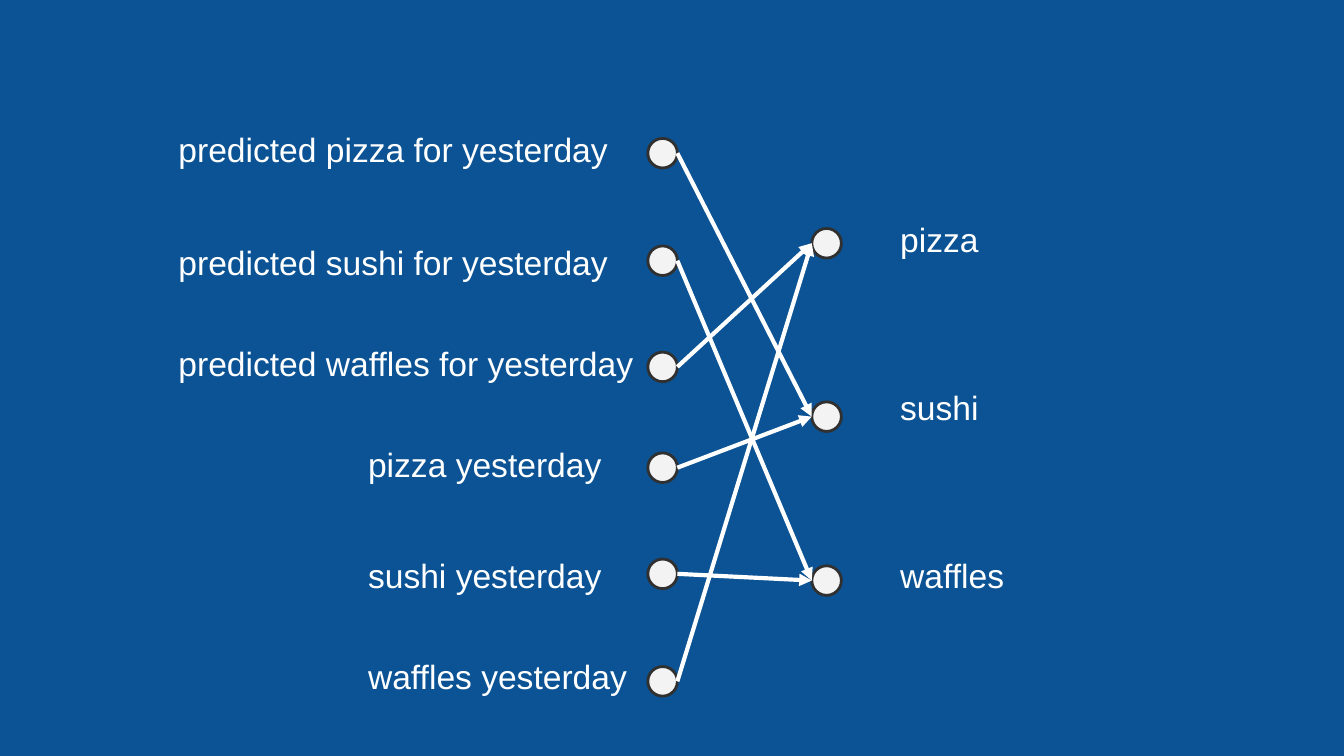
from pptx import Presentation
from pptx.dml.color import RGBColor
from pptx.enum.shapes import MSO_CONNECTOR, MSO_SHAPE
from pptx.oxml.ns import qn
from pptx.util import Inches, Pt
from lxml.etree import SubElement

BLUE = RGBColor(0x0B, 0x53, 0x94)
WHITE = RGBColor(0xFF, 0xFF, 0xFF)
LIGHT = RGBColor(0xF3, 0xF3, 0xF3)
DARK = RGBColor(0x30, 0x30, 0x30)

SLIDE_WIDTH = 10
NODE = 0.22
INPUT_X, OUTPUT_X = 4.82, 6.04
LABEL_HEIGHT = 0.58

# Label, label left, label top, label width, node top, predicted meal
INPUTS = [
    ("predicted pizza for yesterday", 1.23, 0.86, 3.83, 1.03, "sushi"),
    ("predicted sushi for yesterday", 1.23, 1.7, 3.83, 1.83, "waffles"),
    ("predicted waffles for yesterday", 1.23, 2.45, 3.83, 2.62, "pizza"),
    ("pizza yesterday", 2.64, 3.2, 2.42, 3.37, "sushi"),
    ("sushi yesterday", 2.64, 4.03, 2.42, 4.16, "waffles"),
    ("waffles yesterday", 2.64, 4.78, 2.42, 4.96, "pizza"),
]
# Meal: label top, node top
OUTPUTS = {"pizza": (1.53, 1.7), "sushi": (2.78, 2.99), "waffles": (4.03, 4.21)}


def add_label(slide, text, left, top, width):
    box = slide.shapes.add_textbox(
        Inches(left), Inches(top), Inches(width), Inches(LABEL_HEIGHT))
    tf = box.text_frame
    tf.word_wrap = True
    tf.margin_left = tf.margin_right = Inches(0.1)
    tf.margin_top = tf.margin_bottom = Inches(0.1)
    tf.text = text
    font = tf.paragraphs[0].runs[0].font
    font.name = "Arial"
    font.size = Pt(18)
    font.color.rgb = WHITE


def add_node(slide, left, top):
    sp = slide.shapes.add_shape(
        MSO_SHAPE.OVAL, Inches(left), Inches(top), Inches(NODE), Inches(NODE))
    sp.shadow.inherit = False
    sp.fill.solid()
    sp.fill.fore_color.rgb = LIGHT
    sp.line.color.rgb = DARK
    sp.line.width = Pt(1.5)


def add_arrow(slide, input_top, output_top):
    """Join the right side of an input node to the left side of an output node."""
    arrow = slide.shapes.add_connector(
        MSO_CONNECTOR.STRAIGHT,
        Inches(INPUT_X + NODE), Inches(input_top + NODE / 2),
        Inches(OUTPUT_X), Inches(output_top + NODE / 2))
    arrow.line.color.rgb = WHITE
    arrow.line.width = Pt(2.25)
    sp_pr = arrow._element.spPr
    SubElement(sp_pr.find(qn("a:ln")), qn("a:tailEnd"), type="triangle")
    SubElement(sp_pr, qn("a:effectLst"))


def main():
    prs = Presentation()
    prs.slide_width = Inches(SLIDE_WIDTH)
    prs.slide_height = Inches(SLIDE_WIDTH * 9 / 16)
    slide = prs.slides.add_slide(prs.slide_layouts[6])
    slide.background.fill.solid()
    slide.background.fill.fore_color.rgb = BLUE

    for meal, (label_top, node_top) in OUTPUTS.items():
        add_label(slide, meal, 6.6, label_top, 1.16)
        add_node(slide, OUTPUT_X, node_top)
    for text, left, label_top, width, node_top, meal in INPUTS:
        add_label(slide, text, left, label_top, width)
        add_node(slide, INPUT_X, node_top)
        add_arrow(slide, node_top, OUTPUTS[meal][1])

    prs.save("out.pptx")


if __name__ == "__main__":
    main()
